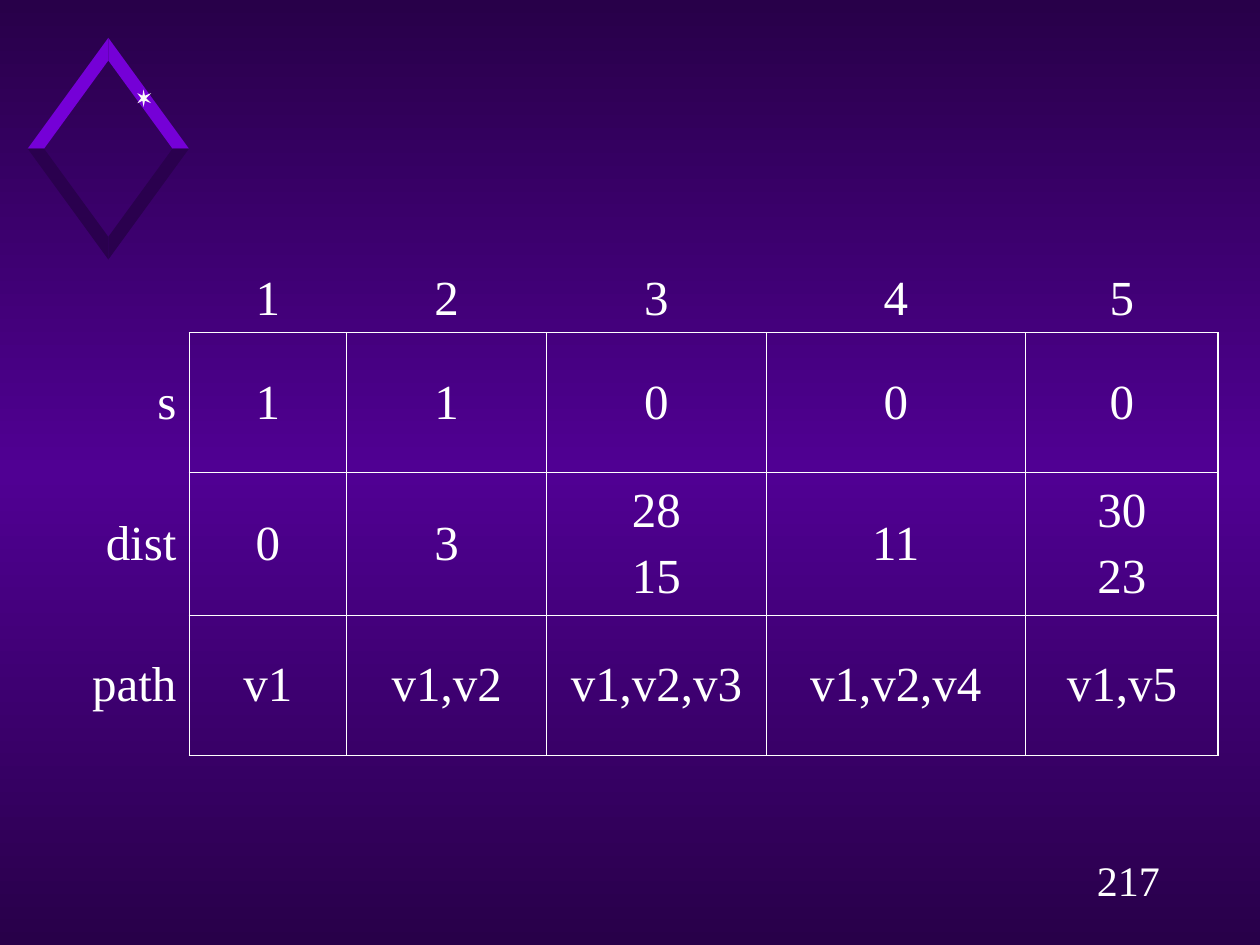
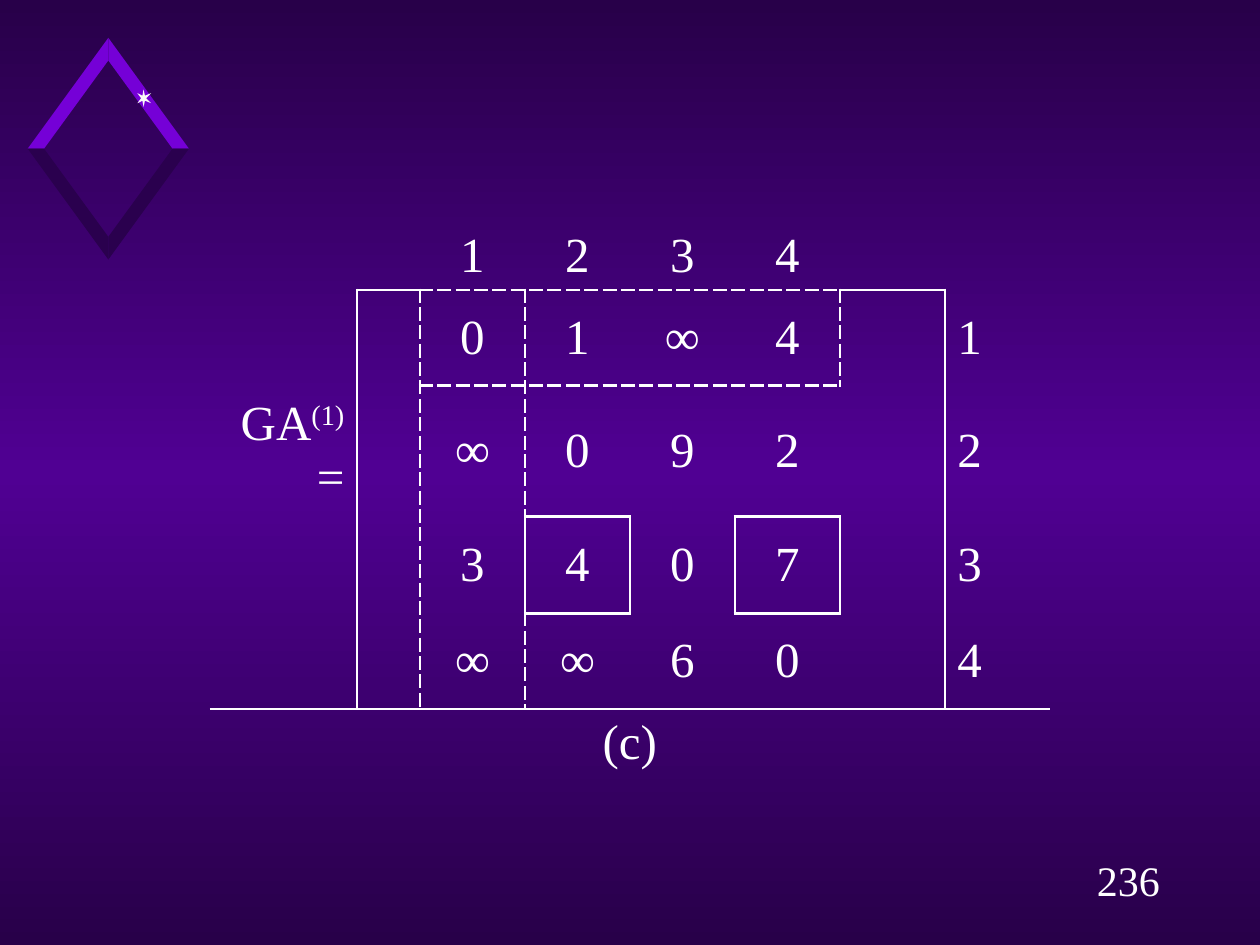
from copy import deepcopy

from lxml.etree import SubElement
from pptx import Presentation
from pptx.dml.color import RGBColor
from pptx.enum.text import MSO_ANCHOR, PP_ALIGN
from pptx.oxml.ns import qn
from pptx.util import Inches, Pt

WHITE = RGBColor(0xFF, 0xFF, 0xFF)
STAR = RGBColor(0xF9, 0xF9, 0xF9)
BRIGHT = RGBColor(0x75, 0x00, 0xD7)
SHADE = RGBColor(0x2A, 0x00, 0x4E)
EDGE = RGBColor(0x28, 0x00, 0x49)
MIDDLE = RGBColor(0x50, 0x00, 0x93)
FONT = "Times New Roman"
NO_STYLE = "{2D5ABB26-0587-4C30-8999-92F81FD0307C}"

DIAMOND_CENTER = (0.86, 1.18)
STAR_POINTS = [
    (1.09, 0.74), (1.13, 0.76), (1.14, 0.71), (1.15, 0.76), (1.2, 0.74), (1.16, 0.78),
    (1.2, 0.82), (1.15, 0.8), (1.14, 0.85), (1.13, 0.8), (1.09, 0.82), (1.12, 0.78),
]

THIN, THICK, BRACKET = 0.45, 1.08, 1.47

# frames: first row, first column, last row, last column, sides, width, dash
SLIDES = [
    {
        "number": "217",
        "left": 0.5,
        "columns": [1, 1.25, 1.59, 1.74, 2.06, 1.53],
        "rows": [1.11, 1.11, 1.13, 1.11],
        "cells": [
            ["", "1", "2", "3", "4", "5"],
            ["s", "1", "1", "0", "0", "0"],
            ["dist", "0", "3", "28\n15", "11", "30\n23"],
            ["path", "v1", "v1,v2", "v1,v2,v3", "v1,v2,v4", "v1,v5"],
        ],
        "frames": [
            (row, column, row, column, "LRTB", THIN, "solid")
            for row in range(1, 4) for column in range(1, 6)
        ] + [(1, 5, 3, 5, "R", THICK, "solid")],
        "left_column": None,
        "caption_row": None,
    },
    {
        "number": "236",
        "left": 5 / 3,
        "columns": [7 / 6, 0.5] + [5 / 6] * 6,
        "rows": [0.77, 0.76, 1.04, 0.77, 0.76, 0.74],
        "cells": [
            ["", "", "1", "2", "3", "4", "", ""],
            ["", "", "0", "1", "∞", "4", "", "1"],
            ["GA^(1)^=", "", "∞", "0", "9", "2", "", "2"],
            ["", "", "3", "4", "0", "7", "", "3"],
            ["", "", "∞", "∞", "6", "0", "", "4"],
            ["(c)"] + [""] * 7,
        ],
        "frames": [
            (1, 1, 4, 6, "LRT", BRACKET, "solid"),
            (1, 2, 4, 2, "LRT", BRACKET, "dash"),
            (1, 2, 1, 5, "LRTB", BRACKET, "dash"),
            (3, 3, 3, 3, "LRTB", BRACKET, "solid"),
            (3, 5, 3, 5, "LRTB", BRACKET, "solid"),
            (5, 0, 5, 7, "T", BRACKET, "solid"),
        ],
        "left_column": 7,
        "caption_row": 5,
    },
]


def style_paragraph(paragraph, size, alignment):
    paragraph.alignment = alignment
    paragraph.font.size = Pt(size)
    paragraph.font.name = FONT
    paragraph.font.color.rgb = WHITE


def set_background(master):
    fill = master.background.fill
    fill.gradient()
    fill.gradient_angle = 270
    stops = master._element.find(".//" + qn("a:gsLst"))
    stops.insert(1, deepcopy(stops[0]))
    for stop, position, color in zip(fill.gradient_stops, (0, 0.5, 1), (EDGE, MIDDLE, EDGE)):
        stop.position = position
        stop.color.rgb = color


def add_outline(slide, points, color):
    corners = [(Inches(x), Inches(y)) for x, y in points]
    builder = slide.shapes.build_freeform(*corners[0])
    builder.add_line_segments(corners[1:], close=True)
    shape = builder.convert_to_shape()
    shape.shadow.inherit = False
    shape.fill.solid()
    shape.fill.fore_color.rgb = color
    shape.line.fill.background()


def add_diamond(slide):
    center_x, center_y = DIAMOND_CENTER
    arm = [(0, 0.7), (0, 0.88), (0.64, 0), (0.51, 0)]
    for vertical, color in ((-1, BRIGHT), (1, SHADE)):
        for horizontal in (1, -1):
            points = [(center_x + horizontal * x, center_y + vertical * y) for x, y in arm]
            add_outline(slide, points, color)
    add_outline(slide, STAR_POINTS, STAR)


def add_page_number(slide, number):
    box = slide.shapes.add_textbox(Inches(8.58), Inches(6.73), Inches(0.75), Inches(0.5))
    box.text_frame.word_wrap = True
    box.text_frame.text = number
    style_paragraph(box.text_frame.paragraphs[0], 24, PP_ALIGN.CENTER)


def collect_borders(frames):
    borders = {}
    for top, left, bottom, right, sides, width, dash in frames:
        line = (width, dash)
        for row in range(top, bottom + 1):
            if "L" in sides:
                borders[row, left, "L"] = borders[row, left - 1, "R"] = line
            if "R" in sides:
                borders[row, right, "R"] = borders[row, right + 1, "L"] = line
        for column in range(left, right + 1):
            if "T" in sides:
                borders[top, column, "T"] = borders[top - 1, column, "B"] = line
            if "B" in sides:
                borders[bottom, column, "B"] = borders[bottom + 1, column, "T"] = line
    return borders


def draw_border(cell, side, line):
    properties = cell._tc.get_or_add_tcPr()
    border = SubElement(properties, qn("a:ln" + side))
    if line is None:
        SubElement(border, qn("a:noFill"))
        return
    width, dash = line
    border.set("w", str(Pt(width)))
    color = SubElement(SubElement(border, qn("a:solidFill")), qn("a:srgbClr"))
    color.set("val", str(WHITE))
    SubElement(border, qn("a:prstDash")).set("val", dash)


def write_cell(cell, text, alignment):
    frame = cell.text_frame
    for index, line in enumerate(text.split("\n")):
        paragraph = frame.add_paragraph() if index else frame.paragraphs[0]
        if index:
            paragraph.space_before = Pt(7)
        for part, piece in enumerate(line.split("^")):
            run = paragraph.add_run()
            run.text = piece
            if part % 2:
                run.font._element.set("baseline", "30000")
        style_paragraph(paragraph, 28, alignment)


def add_grid(slide, content):
    columns, rows = content["columns"], content["rows"]
    frame = slide.shapes.add_table(
        len(rows), len(columns), Inches(content["left"]), Inches(1.53),
        Inches(sum(columns)), Inches(sum(rows)))
    table = frame.table
    table.first_row = table.horz_banding = False
    table._tbl.tblPr.find(qn("a:tableStyleId")).text = NO_STYLE
    for column, width in zip(table.columns, columns):
        column.width = Inches(width)
    for row, height in zip(table.rows, rows):
        row.height = Inches(height)

    caption_row = content["caption_row"]
    if caption_row is not None:
        table.cell(caption_row, 0).merge(table.cell(caption_row, len(columns) - 1))

    borders = collect_borders(content["frames"])
    for row, texts in enumerate(content["cells"]):
        for column, text in enumerate(texts):
            cell = table.cell(row, column)
            cell.vertical_anchor = MSO_ANCHOR.BOTTOM if row == 0 else MSO_ANCHOR.MIDDLE
            alignment = PP_ALIGN.CENTER
            if row == caption_row:
                cell.vertical_anchor = MSO_ANCHOR.TOP
            elif column == 0:
                alignment = PP_ALIGN.RIGHT
            elif column == content["left_column"]:
                alignment = PP_ALIGN.LEFT
            if text:
                write_cell(cell, text, alignment)
            for side in "LRTB":
                draw_border(cell, side, borders.get((row, column, side)))
            cell.fill.background()


def main():
    presentation = Presentation()
    presentation.slide_width = Inches(10)
    presentation.slide_height = Inches(7.5)
    set_background(presentation.slide_master)
    for content in SLIDES:
        slide = presentation.slides.add_slide(presentation.slide_layouts[6])
        add_diamond(slide)
        add_page_number(slide, content["number"])
        add_grid(slide, content)
    presentation.save("out.pptx")


if __name__ == "__main__":
    main()
